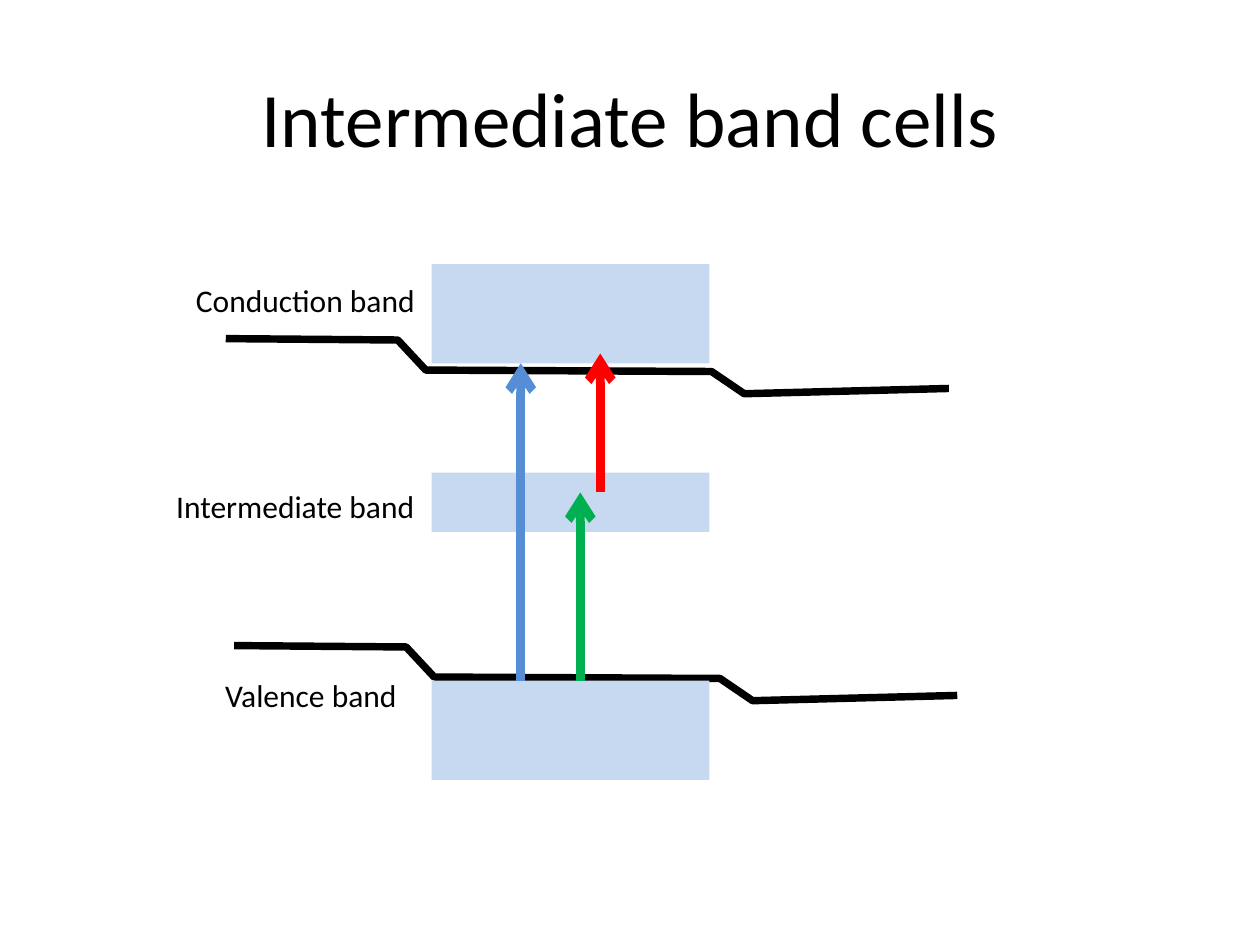
"""Build the intermediate band cells slide."""
from pptx import Presentation
from pptx.dml.color import RGBColor
from pptx.enum import shapes, text
from pptx.oxml import parse_xml
from pptx.oxml.ns import nsdecls, qn
from pptx.util import Pt

HUES = {"ink": "000000", "band": "C6D9F1", "blue": "558ED5",
        "green": "00B050", "red": "FF0000"}


def tint(name):
    return RGBColor.from_string(HUES[name])


def label(words, left, top, width, height, size, wrap=False):
    box = slide.shapes.add_textbox(Pt(left), Pt(top), Pt(width), Pt(height))
    frame = box.text_frame
    frame.word_wrap = wrap
    run = frame.paragraphs[0].add_run()
    run.text = words
    run.font.name = "Calibri"
    run.font.size = Pt(size)
    run.font.color.rgb = tint("ink")
    return frame


deck = Presentation()
deck.slide_width, deck.slide_height = Pt(720), Pt(540)
slide = deck.slides.add_slide(deck.slide_layouts[6])

title = label("Intermediate band cells", 36, 21.6, 648, 90, 44, True)
title.vertical_anchor = text.MSO_ANCHOR.MIDDLE
title.paragraphs[0].alignment = text.PP_ALIGN.CENTER

edge = [(129, 193.5), (227.3, 194.3), (243.3, 211.5),
        (406.6, 212.3), (425.3, 225), (542.2, 222)]
for right, down in [(0, 0), (4.8, 175.4)]:
    route = [(Pt(x + right), Pt(y + down)) for x, y in edge]
    build = slide.shapes.build_freeform(*route[0])
    build.add_line_segments(route[1:], close=False)
    line = build.convert_to_shape()
    line.shadow.inherit = False
    line.fill.background()
    line.line.color.rgb = tint("ink")
    line.line.width = Pt(4.25)

for top, height in [(151, 56.7), (389, 56.7), (270, 34)]:
    band = slide.shapes.add_shape(shapes.MSO_SHAPE.RECTANGLE,
                                  Pt(246.6), Pt(top), Pt(158.7), Pt(height))
    band.shadow.inherit = False
    band.fill.solid()
    band.fill.fore_color.rgb = tint("band")
    band.line.fill.background()

for hue, x, start, end in [("blue", 297.6, 389, 207.6),
                           ("green", 331.6, 389, 281.4),
                           ("red", 343, 281.4, 202)]:
    jump = slide.shapes.add_connector(shapes.MSO_CONNECTOR.STRAIGHT,
                                      Pt(x), Pt(start), Pt(x), Pt(end))
    jump.line.color.rgb = tint(hue)
    jump.line.width = Pt(5)
    props = jump._element.spPr
    head = parse_xml(f'<a:tailEnd {nsdecls("a")} type="arrow"/>')
    props.find(qn("a:ln")).append(head)
    props.append(parse_xml(f'<a:effectLst {nsdecls("a")}/>'))

for words, left, top, width in [("Conduction band", 104.9, 157, 141),
                                ("Valence band", 121.6, 382.5, 114),
                                ("Intermediate band", 93.6, 275, 156)]:
    frame = label(words, left, top, width, 29, 18)
    frame.auto_size = text.MSO_AUTO_SIZE.SHAPE_TO_FIT_TEXT

deck.save("out.pptx")
